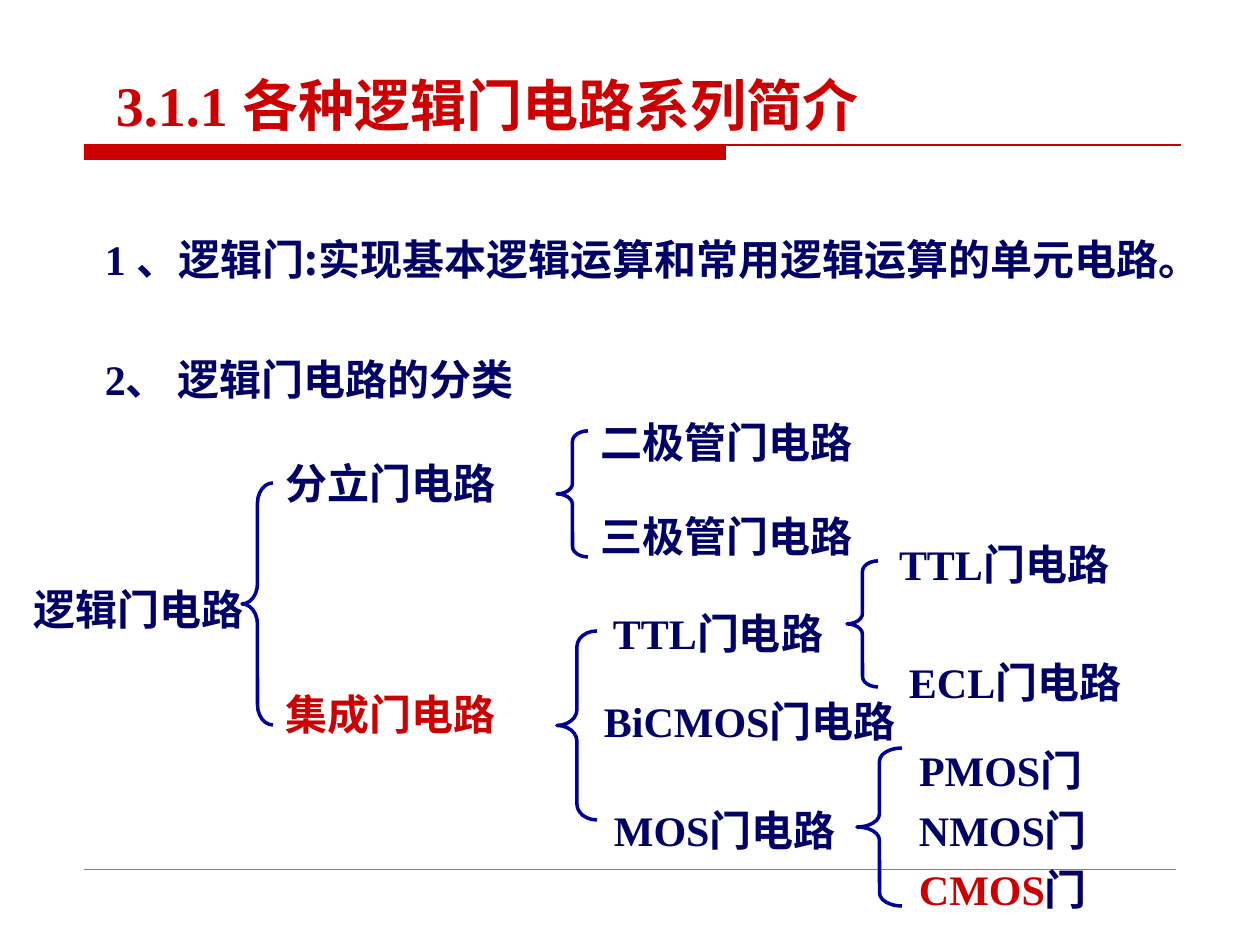
from pptx import Presentation
from pptx.dml.color import RGBColor
from pptx.enum.shapes import MSO_CONNECTOR, MSO_SHAPE
from pptx.enum.text import MSO_ANCHOR, MSO_AUTO_SIZE
from pptx.oxml.ns import qn
from pptx.util import Emu, Pt

STRAIGHT = MSO_CONNECTOR.STRAIGHT
RECTANGLE = MSO_SHAPE.RECTANGLE
LEFT_BRACE = MSO_SHAPE.LEFT_BRACE
TOP, MIDDLE = MSO_ANCHOR.TOP, MSO_ANCHOR.MIDDLE
GROW = MSO_AUTO_SIZE.SHAPE_TO_FIT_TEXT

COLORS = {"red": "CC0000", "navy": "000066", "blue": "000099", "grey": "808080"}
LATIN, CHINESE = "Times New Roman", "Noto Sans CJK SC"
LABEL_HEIGHT = 73

LABELS = [
    (21, 567, 242, [("逻辑门电路", CHINESE, "navy")]),
    (273, 441, 273, [("分立门电路", CHINESE, "navy")]),
    (273, 672, 281, [("集成门电路", CHINESE, "red")]),
    (588, 400, 346, [("二极管门电路", CHINESE, "navy")]),
    (588, 494, 336, [("三极管门电路", CHINESE, "navy")]),
    (600, 591, 294, [("TTL", LATIN, "navy"), ("门电路", CHINESE, "navy")]),
    (591, 679, 367, [("BiCMOS", LATIN, "navy"), ("门电路", CHINESE, "navy")]),
    (601, 788, 367, [("MOS", LATIN, "navy"), ("门电路", CHINESE, "navy")]),
    (886, 522, 294, [("TTL", LATIN, "navy"), ("门电路", CHINESE, "navy")]),
    (896, 640, 294, [("ECL", LATIN, "navy"), ("门电路", CHINESE, "navy")]),
    (906, 728, 231, [("PMOS", LATIN, "navy"), ("门", CHINESE, "navy")]),
    (906, 788, 242, [("NMOS", LATIN, "navy"), ("门", CHINESE, "navy")]),
    (906, 847, 242, [("CMOS", LATIN, "red"), ("门", CHINESE, "navy")]),
]

BRACES = [
    (242, 483, 31, 242),
    (557, 431, 31, 126),
    (557, 631, 40, 189),
    (847, 561, 31, 126),
    (857, 748, 45, 158),
]


def px(n):
    return Emu(round(n * 914400 / 126))


def color(name):
    return RGBColor.from_string(COLORS[name])


def add_text(s, x, y, w, h, runs, size=24, inset=(0, 0), anchor=TOP, spacing=None):
    tf = s.shapes.add_textbox(px(x), px(y), px(w), px(h)).text_frame
    tf.word_wrap = True
    tf.auto_size = GROW
    tf.vertical_anchor = anchor
    tf.margin_left = tf.margin_right = px(inset[0])
    tf.margin_top = tf.margin_bottom = px(inset[1])
    p = tf.paragraphs[0]
    if spacing:
        p.line_spacing = spacing
    for text, font, shade in runs:
        r = p.add_run()
        r.text = text
        r.font.size = Pt(size)
        r.font.bold = True
        r.font.color.rgb = color(shade)
        r.font.name = font
        east_asian = r.font._element.makeelement(qn("a:ea"), {"typeface": CHINESE})
        r.font._element.find(qn("a:latin")).addnext(east_asian)


def add_line(s, x1, x2, y, shade, width):
    line = s.shapes.add_connector(STRAIGHT, px(x1), px(y), px(x2), px(y))
    line.line.color.rgb = color(shade)
    line.line.width = Pt(width)
    sp_pr = line._element.spPr
    sp_pr.append(sp_pr.makeelement(qn("a:effectLst"), {}))


def add_bar(s, x, y, w, h):
    bar = s.shapes.add_shape(RECTANGLE, px(x), px(y), px(w), px(h))
    bar.shadow.inherit = False
    bar.fill.solid()
    bar.fill.fore_color.rgb = color("red")
    bar.line.fill.background()


def add_brace(s, x, y, w, h):
    brace = s.shapes.add_shape(LEFT_BRACE, px(x), px(y), px(w), px(h))
    brace.shadow.inherit = False
    brace.fill.background()
    brace.line.color.rgb = color("blue")
    brace.line.width = Pt(2)
    brace.adjustments[0] = h / 12 / w


def main():
    prs = Presentation()
    prs.slide_width, prs.slide_height = px(1260), px(945)
    s = prs.slides.add_slide(prs.slide_layouts[6])

    add_bar(s, 84, 145, 642, 15)
    add_line(s, 84, 1181, 145, "red", 0.75)
    add_line(s, 84, 1176, 869, "grey", 0.25)

    add_text(s, 113, 69, 834, 71,
             [("3.1.1 ", LATIN, "red"), ("各种逻辑门电路系列简介", CHINESE, "red")],
             size=32, inset=(3, 1))
    add_text(s, 105, 234, 1121, 50,
             [("1 、", LATIN, "navy"),
              ("逻辑门:实现基本逻辑运算和常用逻辑运算的单元电路。", CHINESE, "navy")],
             anchor=MIDDLE)
    add_text(s, 105, 354, 630, 50,
             [("2、", LATIN, "navy"), (" 逻辑门电路的分类", CHINESE, "navy")],
             anchor=MIDDLE)

    for x, y, w, runs in LABELS:
        add_text(s, x, y, w, LABEL_HEIGHT, runs, inset=(13, 6), spacing=1.2)
    for brace in BRACES:
        add_brace(s, *brace)

    prs.save("out.pptx")


if __name__ == "__main__":
    main()
